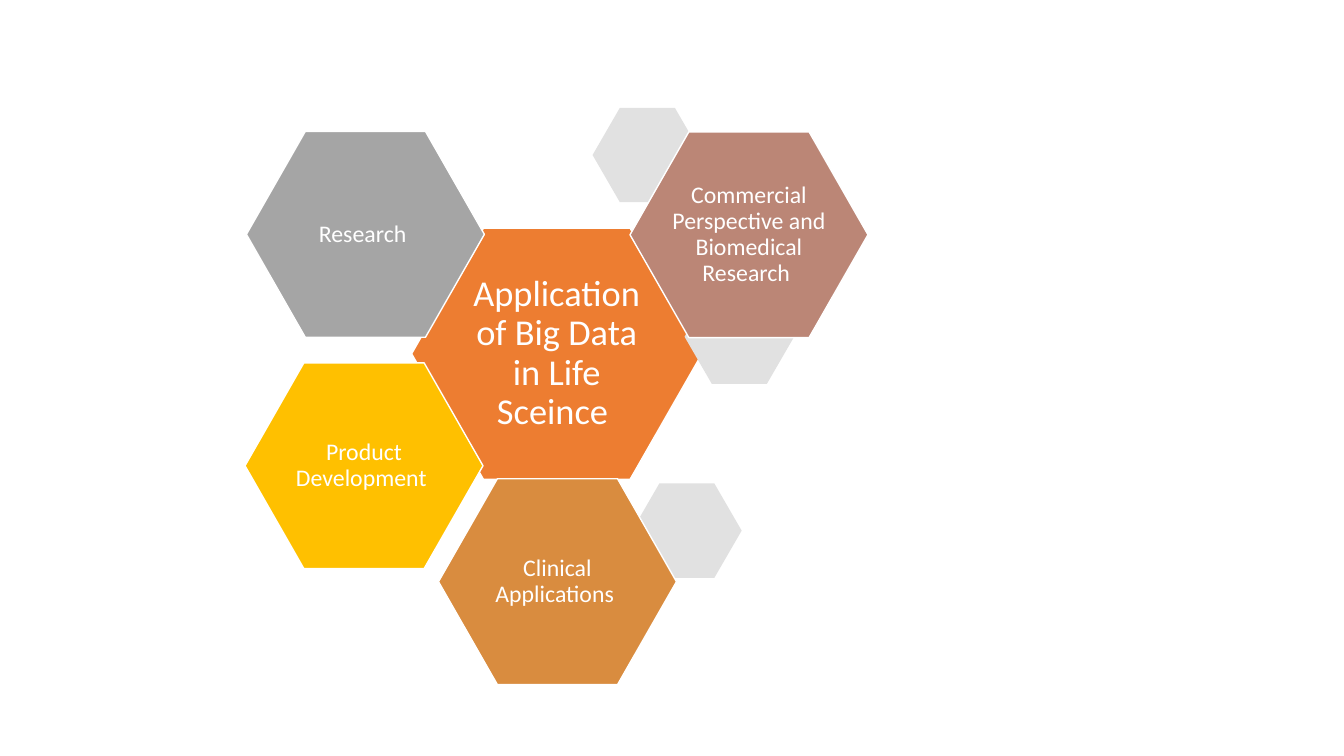
from pptx import Presentation
from pptx.dml.color import RGBColor
from pptx.enum.shapes import MSO_SHAPE
from pptx.enum.text import MSO_ANCHOR, PP_ALIGN
from pptx.util import Pt

WHITE = RGBColor(0xFF, 0xFF, 0xFF)
ORANGE = RGBColor(0xED, 0x7D, 0x31)
GREY = RGBColor(0xA5, 0xA5, 0xA5)
ROSE = RGBColor(0xBB, 0x86, 0x76)
OCHRE = RGBColor(0xD9, 0x8C, 0x3F)
GOLD = RGBColor(0xFF, 0xC0, 0x00)
PALE = RGBColor(0xE1, 0xE1, 0xE1)

CENTRE_SIZE = (207.4, 179.4)
TOPIC_SIZE = (170, 147)
ACCENT_SIZE = (78.3, 67.5)


def write(frame, text, size, inset, font="Calibri", color=WHITE):
    """Fill a text frame with one centred paragraph."""
    frame.word_wrap = True
    frame.vertical_anchor = MSO_ANCHOR.MIDDLE
    frame.margin_left = frame.margin_right = Pt(inset)
    frame.margin_top = frame.margin_bottom = Pt(inset)
    paragraph = frame.paragraphs[0]
    paragraph.alignment = PP_ALIGN.CENTER
    paragraph.line_spacing = 0.9
    run = paragraph.add_run()
    run.text = text
    run.font.name = font
    run.font.size = Pt(size)
    run.font.color.rgb = color


class HoneycombSlide:
    """Holds the current slide and the hexagon style."""

    def __init__(self, slide):
        self.slide = slide
        self.outline = WHITE
        self.outline_width = Pt(1)

    def hexagon(self, left, top, size, fill, slant):
        cell = self.slide.shapes.add_shape(
            MSO_SHAPE.HEXAGON, Pt(left), Pt(top), *map(Pt, size))
        cell.adjustments[0] = slant
        cell.shadow.inherit = False
        cell.fill.solid()
        cell.fill.fore_color.rgb = fill
        return cell

    def accent(self, left, top):
        cell = self.hexagon(left, top, ACCENT_SIZE, PALE, slant=0.289)
        cell.line.fill.background()

    def topic(self, text, left, top, fill, size=TOPIC_SIZE, font_size=17, inset=1.7):
        cell = self.hexagon(left, top, size, fill, slant=0.286)
        cell.line.color.rgb = self.outline
        cell.line.width = self.outline_width
        write(cell.text_frame, text, size=font_size, inset=inset)


def main():
    deck = Presentation()
    deck.slide_width, deck.slide_height = Pt(960), Pt(540)
    honeycomb = HoneycombSlide(deck.slides.add_slide(deck.slide_layouts[6]))

    # Central theme
    honeycomb.topic("Application of Big Data in Life Sceince ", 294, 163, ORANGE,
                    size=CENTRE_SIZE, font_size=26, inset=2.6)

    # Surrounding topics, each in front of its pale accent
    honeycomb.accent(423.3, 77)
    honeycomb.topic("Research ", 176, 93.9, GREY)
    honeycomb.accent(489, 206.8)
    honeycomb.topic("Commercial Perspective and Biomedical Research ", 450, 94.2, ROSE)
    honeycomb.accent(451.5, 345.3)
    honeycomb.topic("Clinical Applications ", 313.2, 342, OCHRE)
    honeycomb.topic("Product Development ", 175, 259.2, GOLD)

    deck.save("out.pptx")


if __name__ == "__main__":
    main()
